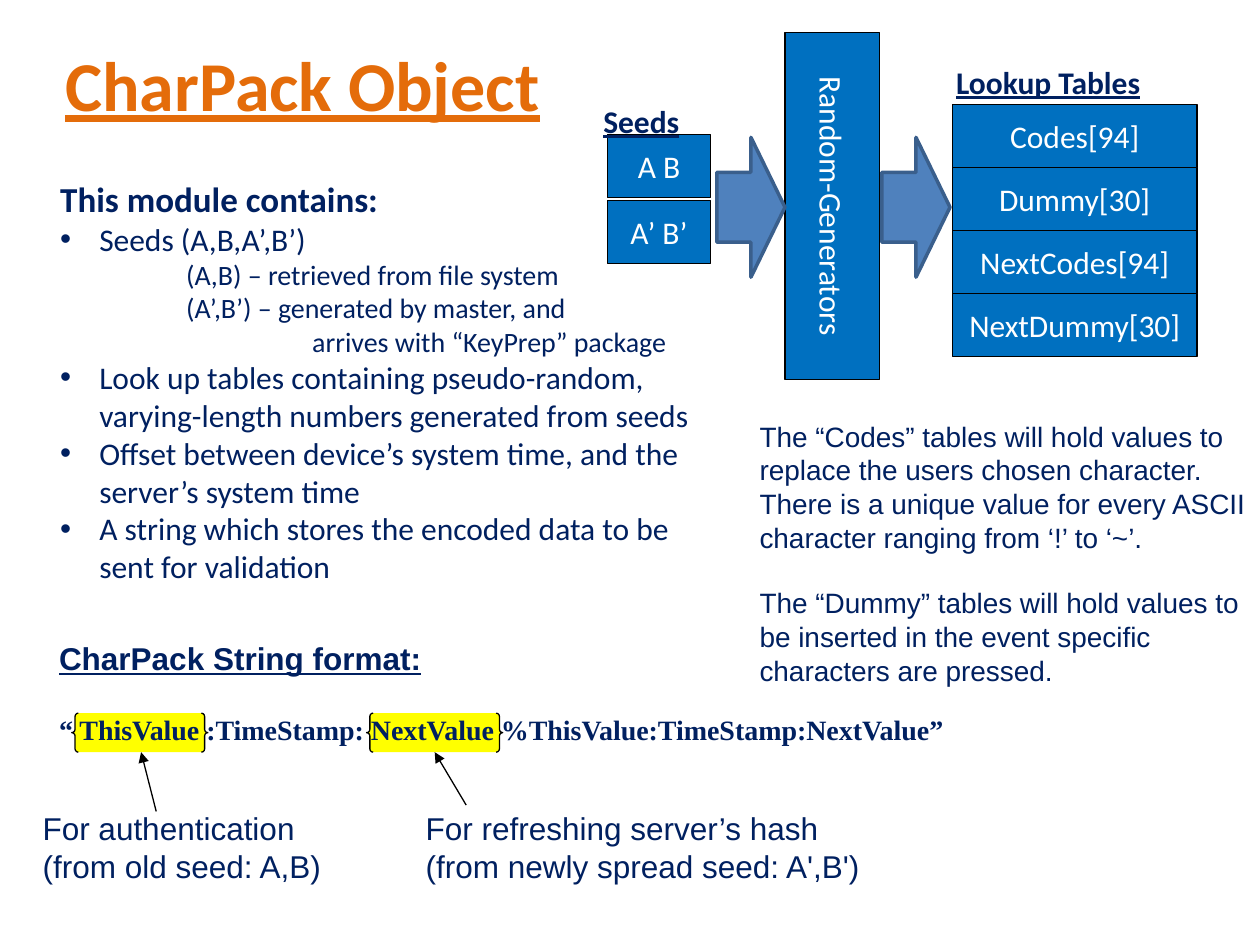
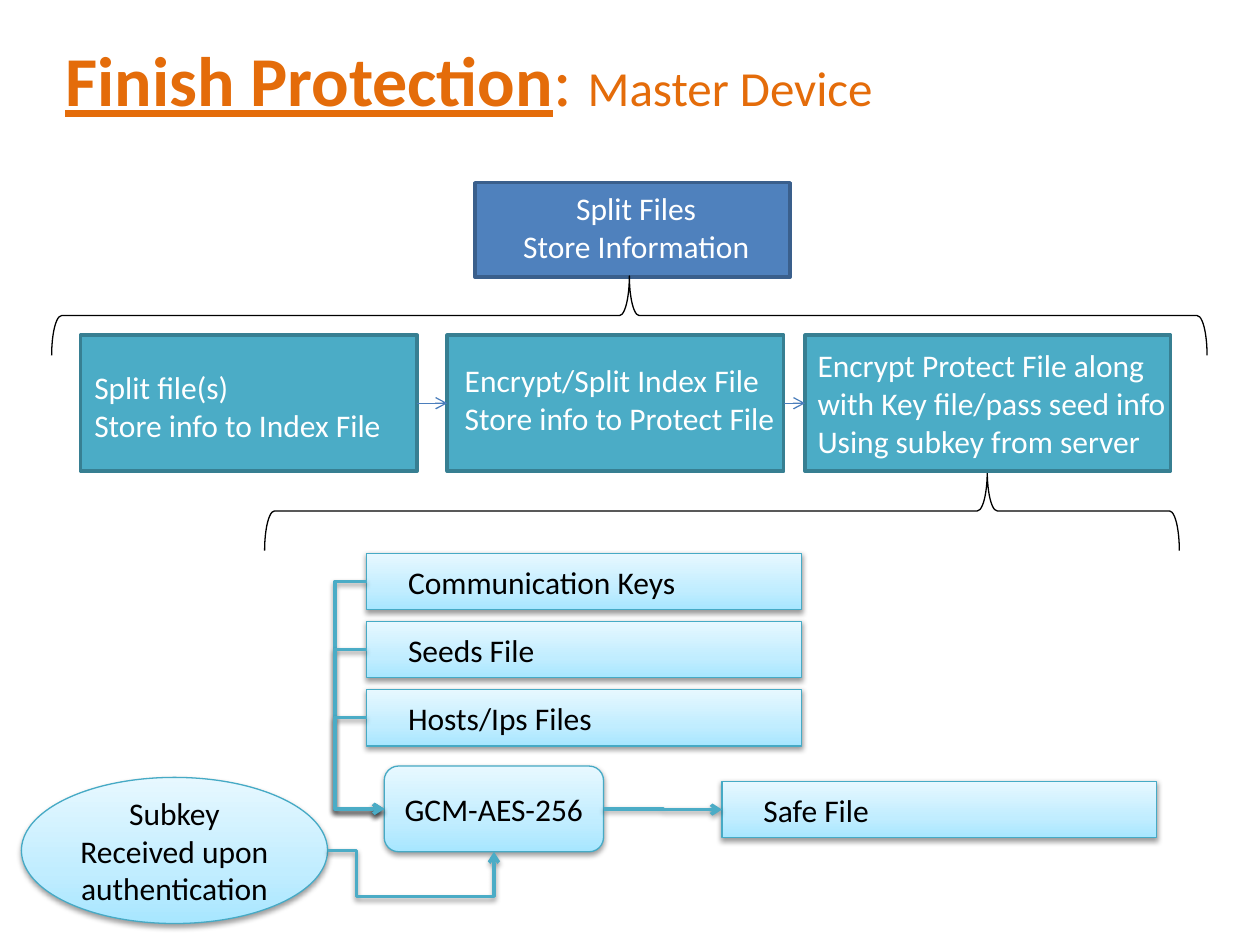
from copy import deepcopy

from lxml import etree
from pptx import Presentation
from pptx.dml.color import RGBColor
from pptx.enum.shapes import MSO_CONNECTOR, MSO_SHAPE
from pptx.enum.text import MSO_ANCHOR, PP_ALIGN
from pptx.oxml.ns import qn
from pptx.util import Inches, Pt

RECT, PROCESS = MSO_SHAPE.RECTANGLE, MSO_SHAPE.FLOWCHART_PROCESS
ROUNDED, OVAL = MSO_SHAPE.ROUNDED_RECTANGLE, MSO_SHAPE.OVAL
ARROW, BRACE, BRACE_PAIR = MSO_SHAPE.RIGHT_ARROW, MSO_SHAPE.LEFT_BRACE, MSO_SHAPE.DOUBLE_BRACE
STRAIGHT, ELBOW = MSO_CONNECTOR.STRAIGHT, MSO_CONNECTOR.ELBOW
LEFT, CENTER = PP_ALIGN.LEFT, PP_ALIGN.CENTER
TOP, MIDDLE = MSO_ANCHOR.TOP, MSO_ANCHOR.MIDDLE
SIDE_LEFT, SIDE_BOTTOM, SIDE_RIGHT = 1, 2, 3
OVAL_RIGHT = 6

COLORS = {
    "title": "E46C0A", "navy": "002060", "white": "FFFFFF", "black": "000000",
    "table": "0070C0", "blue": "4F81BD", "blue edge": "3A5F8C", "link": "4B7EBC",
    "teal": "4BACC6", "teal edge": "377F92", "pale edge": "46AAC5", "yellow": "FFFF00",
}
PALE_STOPS = [(0, "A7E6FF"), (0.35, "C1EDFF"), (1, "E7F8FF")]


def rgb(name):
    return RGBColor.from_string(COLORS[name])


def add_xml(parent, tag, **attributes):
    return etree.SubElement(parent, qn(tag), attributes)


def add_soft_shadow(effects):
    shadow = add_xml(effects, "a:outerShdw", blurRad=str(Pt(3.1)), dist=str(Pt(1.6)),
                     dir="5400000", rotWithShape="0")
    color = add_xml(shadow, "a:srgbClr", val=COLORS["black"])
    add_xml(color, "a:alpha", val="38000")


class SlideBuilder:
    def __init__(self):
        self.deck = Presentation()
        self.deck.slide_width, self.deck.slide_height = Inches(10), Inches(7.5)
        self.page = None

    def new_page(self):
        self.page = self.deck.slides.add_slide(self.deck.slide_layouts[6])

    def style(self, para, size=18, color="navy", font="Calibri", bold=False,
              underline=False, align=LEFT):
        para.alignment = align
        para.font.size, para.font.name = Pt(size), font
        para.font.color.rgb = rgb(color)
        para.font.bold, para.font.underline = bold, underline

    def indent(self, para, left, hanging=0, bullet=False):
        properties = para._p.get_or_add_pPr()
        properties.set("marL", str(Inches(left)))
        properties.set("indent", str(Inches(-hanging)))
        if bullet:
            add_xml(properties, "a:buFont", typeface="Arial")
            add_xml(properties, "a:buChar", char="•")

    def add_lines(self, box, lines, anchor=TOP, **style):
        frame = box.text_frame
        frame.word_wrap, frame.vertical_anchor = True, anchor
        for number, line in enumerate(lines):
            para = frame.paragraphs[0] if number == 0 else frame.add_paragraph()
            para.text = line
            self.style(para, **style)
        return frame.paragraphs

    def text(self, left, top, width, height, lines, **style):
        box = self.page.shapes.add_textbox(*map(Inches, (left, top, width, height)))
        return self.add_lines(box, lines, **style)

    def title(self, height, spans):
        """Each span is (text, size, emphasised)."""
        box = self.page.shapes.add_textbox(*map(Inches, (0.42, 0, 9, height)))
        para = self.add_lines(box, [""], anchor=MIDDLE, size=40, color="title")[0]
        for text, size, emphasised in spans:
            span = para.add_run()
            span.text = text
            span.font.size = Pt(size)
            span.font.bold = span.font.underline = emphasised

    def shape(self, kind, left, top, width, height, fill=None, edge="black", weight=0.75,
              rotation=0):
        box = self.page.shapes.add_shape(kind, *map(Inches, (left, top, width, height)))
        box.shadow.inherit = False
        box.rotation = rotation
        if fill:
            box.fill.solid()
            box.fill.fore_color.rgb = rgb(fill)
        else:
            box.fill.background()
        box.line.color.rgb, box.line.width = rgb(edge), Pt(weight)
        return box

    def cell(self, left, top, width, height, label, rotation=0):
        box = self.shape(RECT, left, top, width, height, "table", rotation=rotation)
        self.add_lines(box, [label], anchor=MIDDLE, color="white", align=CENTER)

    def brace(self, left, top, width, height, point):
        """A brace over the given area, its point upwards at a share from the right."""
        box = self.shape(BRACE, left + (width - height) / 2, top - (width - height) / 2,
                         height, width, rotation=90)
        box.adjustments[0], box.adjustments[1] = 0.125, point

    def pale_box(self, kind, left, top, width, height, label, align=CENTER):
        box = self.shape(kind, left, top, width, height, edge="pale edge")
        box.fill.gradient()
        box.fill.gradient_angle = 90
        stop_list = box._element.spPr.find(".//" + qn("a:gsLst"))
        stop_list.insert(1, deepcopy(stop_list[0]))
        for stop, (position, color) in zip(box.fill.gradient_stops, PALE_STOPS):
            stop.position, stop.color.rgb = position, RGBColor.from_string(color)
        add_soft_shadow(box._element.spPr.find(qn("a:effectLst")))
        para = self.add_lines(box, [label], anchor=MIDDLE, color="black", align=align)[0]
        if align == LEFT:
            self.indent(para, 0.23)
        return box

    def finish_line(self, line, color, weight, head):
        line.line.color.rgb, line.line.width = rgb(color), Pt(weight)
        add_xml(line.line._get_or_add_ln(), "a:tailEnd", type=head)
        return add_xml(line._element.spPr, "a:effectLst")

    def pointer(self, start, end):
        line = self.page.shapes.add_connector(STRAIGHT, *map(Inches, start + end))
        self.finish_line(line, "black", 0.75, "triangle")

    def join(self, kind, start, start_side, end, end_side):
        line = self.page.shapes.add_connector(kind, 0, 0, 0, 0)
        line.begin_connect(start, start_side)
        line.end_connect(end, end_side)
        return line

    def link(self, start, end):
        line = self.join(STRAIGHT, start, SIDE_RIGHT, end, SIDE_LEFT)
        self.finish_line(line, "link", 0.75, "arrow")

    def elbow(self, start, start_side, end, end_side, bend_x, bend_y=None):
        """A bent arrow turning at bend_x and, when given, again at bend_y."""
        line = self.join(ELBOW, start, start_side, end, end_side)
        bends = [(Inches(bend_x) - line.begin_x) / (line.end_x - line.begin_x)]
        geometry = line._element.spPr.find(qn("a:prstGeom"))
        if bend_y is not None:
            geometry.set("prst", "bentConnector4")
            bends.append((Inches(bend_y) - line.begin_y) / (line.end_y - line.begin_y))
        guides = geometry.find(qn("a:avLst"))
        if guides is None:
            guides = add_xml(geometry, "a:avLst")
        for number, bend in enumerate(bends, 1):
            add_xml(guides, "a:gd", name=f"adj{number}", fmla=f"val {round(bend * 100000)}")
        add_soft_shadow(self.finish_line(line, "teal", 2, "arrow"))
        return line


def build_charpack(builder):
    builder.new_page()
    builder.title(1.33, [("CharPack Object", 40, True)])

    # String format with its two highlighted values
    for left in (0.57, 2.91):
        builder.shape(BRACE_PAIR, left, 5.66, 1.08, 0.31, "yellow")
    heading, pattern = builder.text(0.37, 5.02, 7.65, 1.09, [
        "CharPack String format:",
        "“ ThisValue :TimeStamp: NextValue %ThisValue:TimeStamp:NextValue”",
    ], font="Arial", bold=True)
    heading.font.underline = True
    pattern.font.name, pattern.font.size = "Times New Roman", Pt(16)
    pattern.space_before = Pt(20.7)

    # Notes under the string
    builder.text(0.24, 6.37, 2.5, 0.66,
                 ["For authentication", "(from old seed: A,B)"], font="Arial")
    builder.text(3.28, 6.37, 3.75, 0.66,
                 ["For refreshing server’s hash", "(from newly spread seed: A',B')"], font="Arial")
    builder.pointer((1.24, 6.44), (1.12, 5.97))
    builder.pointer((3.7, 6.39), (3.45, 5.97))

    # Explanation of the tables
    explanation = builder.text(5.93, 3.28, 4.07, 2.26, [
        "The “Codes” tables will hold values to replace the users chosen character.",
        "There is a unique value for every ASCII character ranging from ‘!’ to ‘~’.",
        "The “Dummy” tables will hold values to be inserted in the event specific "
        "characters are pressed.",
    ], font="Arial", size=16)
    explanation[2].space_before = Pt(18.4)

    # Module contents: (text, indent level), level 0 has a bullet
    contents = [
        ("Seeds (A,B,A’,B’)", 0),
        ("(A,B) – retrieved from file system", 1),
        ("(A’,B’) – generated by master, and", 1),
        ("arrives with “KeyPrep” package", 2),
        ("Look up tables containing pseudo-random, varying-length numbers generated from seeds", 0),
        ("Offset between device’s system time, and the server’s system time", 0),
        ("A string which stores the encoded data to be sent for validation", 0),
    ]
    box = builder.page.shapes.add_textbox(*map(Inches, (0.38, 1.36, 5.43, 3.42)))
    frame = box.text_frame
    frame.word_wrap = True
    frame.text = "This module contains:"
    builder.style(frame.paragraphs[0], size=20, bold=True)
    for text, level in contents:
        para = frame.add_paragraph()
        para.text = text
        if level:
            builder.indent(para, level)
        else:
            builder.indent(para, 0.31, 0.31, bullet=True)
        builder.style(para, size=16 if level else 18)

    # Flow from seeds through the generators to the lookup tables
    for row, label in enumerate(["Codes[94]", "Dummy[30]", "NextCodes[94]", "NextDummy[30]"]):
        builder.cell(7.56, 0.83 + 0.5 * row, 1.94, 0.5, label)
    for row, label in enumerate(["A B", "A’ B’"]):
        builder.cell(4.82, 1.07 + 0.52 * row, 0.82, 0.5, label)
    builder.cell(5.23, 1.26, 2.75, 0.75, "Random-Generators", rotation=90)
    for left in (5.69, 7):
        builder.shape(ARROW, left, 1.09, 0.54, 1.11, "blue", "blue edge", 2)
    for left, top, label in [(7.49, 0.45, "Lookup Tables"), (4.69, 0.76, "Seeds")]:
        builder.text(left, top, 2.5, 0.4, [label], bold=True, underline=True)


def build_finish_protection(builder):
    builder.new_page()
    builder.title(1.25, [("Finish Protection", 40, True), (": ", 40, False),
                         ("Master Device", 28, False)])

    # Main task and its three steps
    builder.brace(2.1, 3.74, 7.26, 0.63, 0.21)
    builder.shape(RECT, 3.77, 1.45, 2.5, 0.75, "blue", "blue edge", 2)
    builder.text(3.82, 1.45, 2.46, 0.71, ["Split Files", "Store Information"],
                 color="white", align=CENTER)
    steps = [
        (0.64, 2.67, 0.65, 2.87, ["Split file(s)", "Store info to Index File"]),
        (3.55, 2.67, 3.59, 2.82, ["Encrypt/Split Index File", "Store info to Protect File"]),
        (6.39, 2.9, 6.39, 2.7, ["Encrypt Protect File along", "with Key file/pass seed info",
                                "Using subkey from server"]),
    ]
    boxes = []
    for left, width, text_left, text_top, lines in steps:
        boxes.append(builder.shape(PROCESS, left, 2.66, width, 1.08, "teal", "teal edge", 2))
        builder.text(text_left, text_top, 3.1, 0.1 + 0.3 * len(lines), lines, color="white")
    for start, end in zip(boxes, boxes[1:]):
        builder.link(start, end)
    builder.brace(0.41, 2.19, 9.17, 0.63, 0.5)

    # Encryption of the collected files
    subkey = builder.pale_box(OVAL, 0.17, 6.17, 2.43, 1.16,
                              "Subkey Received upon authentication")
    files = [builder.pale_box(RECT, 2.91, 4.39 + 0.54 * row, 3.45, 0.45, label, LEFT)
             for row, label in enumerate(["Communication Keys", "Seeds File", "Hosts/Ips Files"])]
    cipher = builder.pale_box(ROUNDED, 3.05, 6.08, 1.74, 0.68, "GCM-AES-256")
    safe_file = builder.pale_box(RECT, 5.73, 6.2, 3.45, 0.45, "Safe File", LEFT)
    for file_box in files:
        builder.elbow(file_box, SIDE_LEFT, cipher, SIDE_LEFT, 2.66)
    subkey_line = builder.elbow(subkey, SIDE_RIGHT, cipher, SIDE_BOTTOM, 2.83, 7.12)
    # An oval counts eight connection points, so its right one has another number
    subkey_line._element.find(".//" + qn("a:stCxn")).set("idx", str(OVAL_RIGHT))
    builder.elbow(cipher, SIDE_RIGHT, safe_file, SIDE_LEFT, 5.26)


def main():
    builder = SlideBuilder()
    build_charpack(builder)
    build_finish_protection(builder)
    builder.deck.save("out.pptx")


if __name__ == "__main__":
    main()
